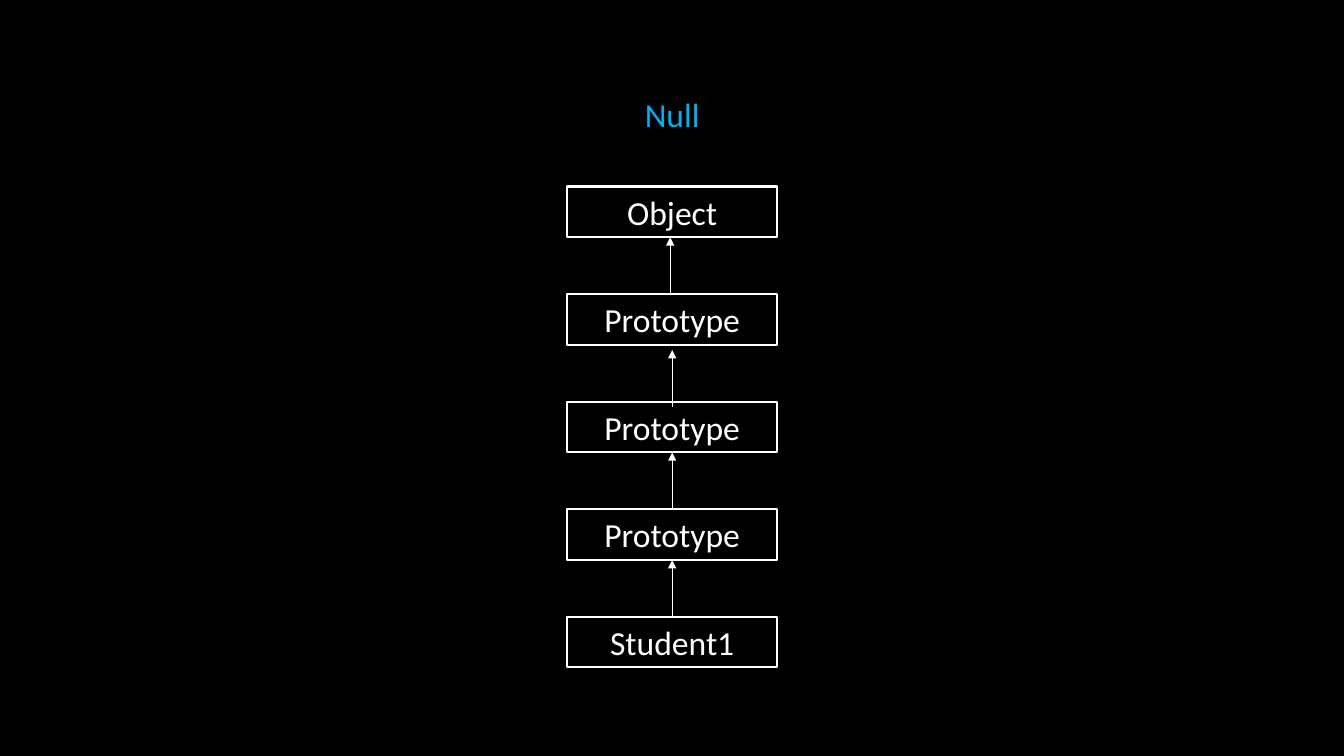
import pptx
import pptx.dml.color
import pptx.enum.shapes
import pptx.enum.text
import pptx.oxml
import pptx.oxml.ns
import pptx.util
from pptx.util import Cm

BLACK = pptx.dml.color.RGBColor(0x00, 0x00, 0x00)
WHITE = pptx.dml.color.RGBColor(0xFF, 0xFF, 0xFF)
BLUE = pptx.dml.color.RGBColor(0x00, 0xB0, 0xF0)

LEFT, WIDTH, HEIGHT = 14.3, 5.28, 1.28
TOP, STEP = 4.7, 2.71
NULL_TOP = 2.24
MID = LEFT + WIDTH / 2
CHAIN = ["Object", "Prototype", "Prototype", "Prototype", "Student1"]
# Small shifts (x, y) of the arrow that leaves each link of the chain
SHIFTS = {1: (-0.05, 0), 2: (0, 0.13)}


def write(frame, text, size=24, color=WHITE, font="Calibri"):
    frame.word_wrap = True
    frame.auto_size = pptx.enum.text.MSO_AUTO_SIZE.SHAPE_TO_FIT_TEXT
    frame.vertical_anchor = pptx.enum.text.MSO_ANCHOR.TOP
    para = frame.paragraphs[0]
    para.alignment = pptx.enum.text.PP_ALIGN.CENTER
    run = para.add_run()
    run.text = text
    run.font.name = font
    run.font.size = pptx.util.Pt(size)
    run.font.color.rgb = color


def add_box(slide, top, text, color=WHITE, edge=None):
    box = slide.shapes.add_shape(
        pptx.enum.shapes.MSO_SHAPE.RECTANGLE,
        Cm(LEFT), Cm(top), Cm(WIDTH), Cm(HEIGHT))
    box.shadow.inherit = False
    box.fill.solid()
    box.fill.fore_color.rgb = BLACK
    if edge is None:
        box.line.fill.background()
    else:
        box.line.color.rgb = edge
        box.line.width = pptx.util.Pt(1.5)
    write(box.text_frame, text, color=color)


def add_arrow(slide, x, low, high):
    """Draw a thin upright arrow that points up from low to high."""
    arrow = slide.shapes.add_connector(
        pptx.enum.shapes.MSO_CONNECTOR.STRAIGHT,
        Cm(x), Cm(low), Cm(x), Cm(high))
    arrow.line.color.rgb = WHITE
    arrow.line.width = pptx.util.Pt(0.5)
    space = pptx.oxml.ns.nsdecls("a")
    head = pptx.oxml.parse_xml(f'<a:tailEnd {space} type="triangle"/>')
    arrow.line._get_or_add_ln().append(head)
    flat = pptx.oxml.parse_xml(f"<a:effectLst {space}/>")
    arrow._element.spPr.append(flat)


def main():
    deck = pptx.Presentation()
    deck.slide_width, deck.slide_height = Cm(33.87), Cm(19.05)
    slide = deck.slides.add_slide(deck.slide_layouts[6])
    slide.background.fill.solid()
    slide.background.fill.fore_color.rgb = BLACK

    tops = [TOP + STEP * row for row in range(len(CHAIN))]
    for top, text in reversed(list(zip(tops, CHAIN))):
        add_box(slide, top, text, edge=WHITE)
    add_box(slide, NULL_TOP, "Null", color=BLUE)

    for row in range(len(CHAIN) - 1, 0, -1):
        dx, dy = SHIFTS.get(row, (0, 0))
        add_arrow(slide, MID + dx, tops[row] + dy,
                  tops[row - 1] + HEIGHT + dy)

    deck.save("out.pptx")


if __name__ == "__main__":
    main()
